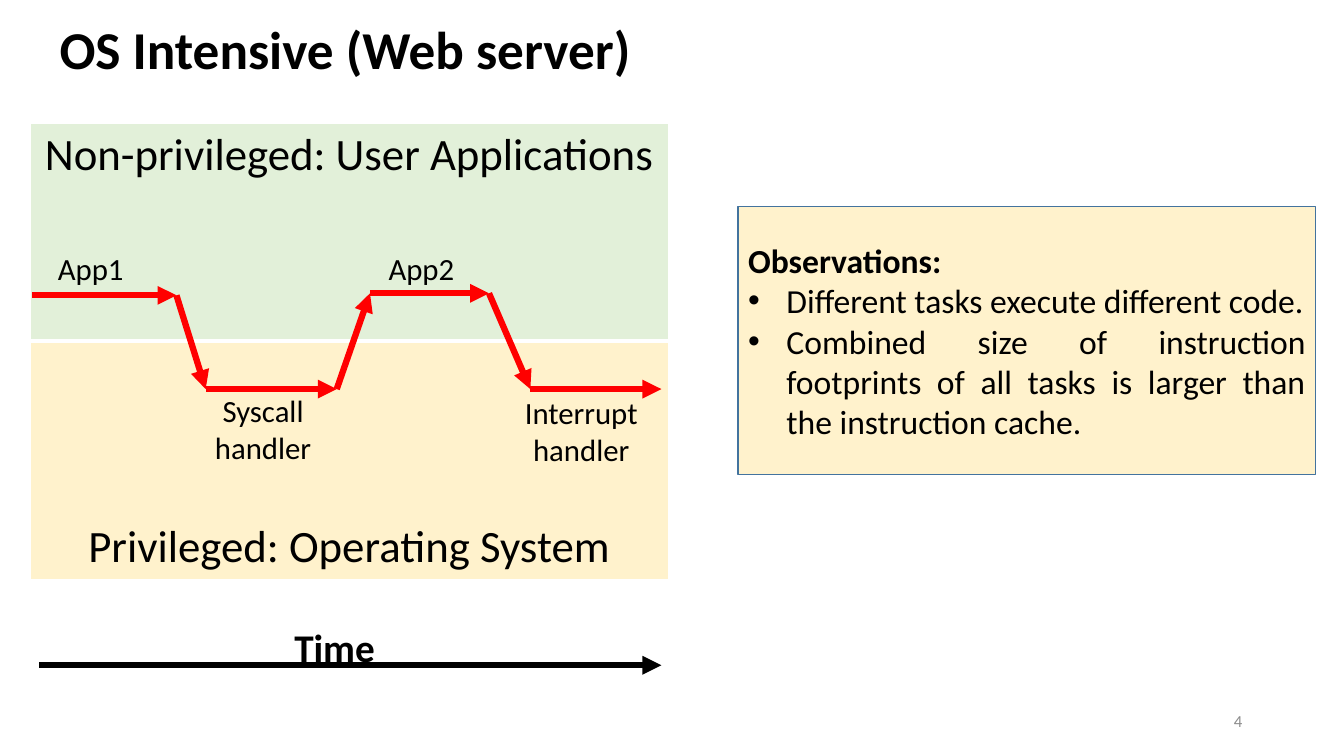
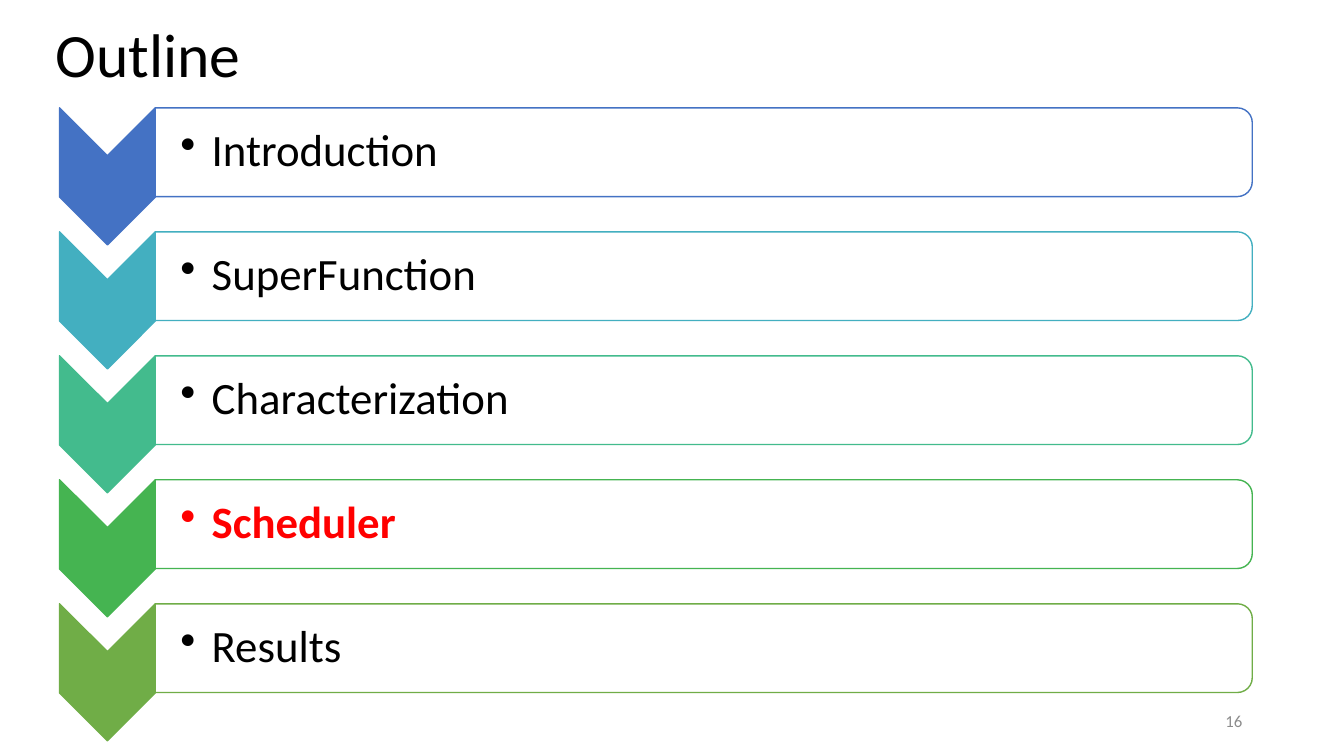
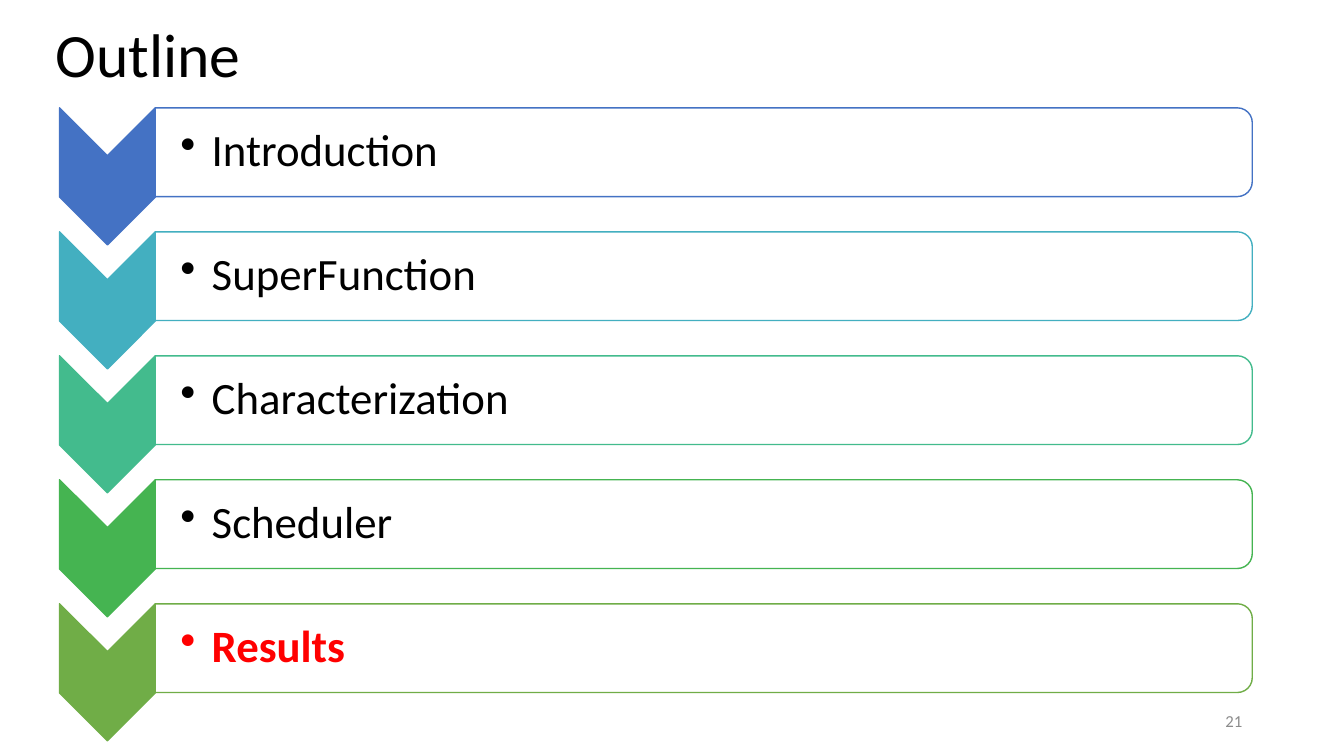
from itertools import pairwise
from lxml.etree import SubElement as Sub
from pptx import Presentation
from pptx.dml.color import RGBColor
from pptx.enum.shapes import MSO_CONNECTOR as Link, MSO_SHAPE as Kind
from pptx.enum.text import MSO_ANCHOR as Anchor, MSO_AUTO_SIZE as Fit, PP_ALIGN as Align
from pptx.oxml.ns import qn
from pptx.util import Inches, Pt

FONT = "Calibri"
BLACK, WHITE, RED, GRAY = "000000", "FFFFFF", "FF0000", "8C8C8C"
GREEN, CREAM, EDGE = "E2F0D9", "FFF2CC", "43739E"
STEPS = [
    ("Introduction", "4472C4"),
    ("SuperFunction", "43AFC0"),
    ("Characterization", "43BB8D"),
    ("Scheduler", "45B451"),
    ("Results", "70AD47"),
]


def color(code):
    return RGBColor.from_string(code)


def paint(shape, fill, line):
    shape.fill.solid()
    shape.fill.fore_color.rgb = color(fill)
    shape.line.color.rgb = color(line)
    shape.line.width = Pt(1)


def place(shape, x, y, w, h):
    shape.left, shape.top, shape.width, shape.height = map(Inches, (x, y, w, h))


def write(para, text, size, tint=BLACK, bold=False, align=Align.LEFT):
    para.alignment = align
    para.space_before = Pt(0)
    run = para.add_run()
    run.text = text
    font = run.font
    font.name, font.size, font.bold = FONT, Pt(size), bold
    font.color.rgb = color(tint)


def bullet(para, indent):
    props = para._p.get_or_add_pPr()
    props.set("marL", str(Inches(indent)))
    props.set("indent", str(-Inches(indent)))
    Sub(props, qn("a:buChar"), char="•")


def setup(frame, anchor=Anchor.MIDDLE, wrap=True):
    frame.auto_size = Fit.NONE
    frame.word_wrap = wrap
    frame.vertical_anchor = anchor
    return frame


def label(slide, x, y, w, h, lines, size, bold=False, align=Align.CENTER):
    box = slide.shapes.add_textbox(*map(Inches, (x, y, w, h)))
    frame = setup(box.text_frame, Anchor.TOP, False)
    for i, line in enumerate(lines):
        para = frame.add_paragraph() if i else frame.paragraphs[0]
        write(para, line, size, bold=bold, align=align)


def start(deck, layout, title, box, size, number, bold=False):
    slide = deck.slides.add_slide(deck.slide_layouts[layout])
    head = slide.shapes.title
    place(head, *box)
    para = setup(head.text_frame).paragraphs[0]
    para.line_spacing = 0.9
    write(para, title, size, bold=bold)
    foot = slide.shapes.add_textbox(*map(Inches, (9.42, 6.95, 3, 0.4)))
    write(setup(foot.text_frame).paragraphs[0], number, 12, GRAY, align=Align.RIGHT)
    return slide


def arrow(slide, begin, end, tint):
    link = slide.shapes.add_connector(Link.STRAIGHT, *map(Inches, begin + end))
    link.line.color.rgb = color(tint)
    link.line.width = Pt(4.5)
    Sub(link.line._get_or_add_ln(), qn("a:tailEnd"), type="triangle")
    Sub(link._element.spPr, qn("a:effectLst"))


def border(cell, sides):
    props = cell._tc.get_or_add_tcPr()
    for i, (side, width) in enumerate(sides.items()):
        line = props.makeelement(qn(f"a:ln{side}"), {"w": str(Pt(width))})
        Sub(Sub(line, qn("a:solidFill")), qn("a:srgbClr"), val=WHITE)
        props.insert(i, line)


def zones(slide, x, y, w, rows):
    total = sum(row[1] for row in rows)
    table = slide.shapes.add_table(len(rows), 1, *map(Inches, (x, y, w, total))).table
    table.first_row = table.horz_banding = False
    for i, (text, height, fill, anchor, top, low) in enumerate(rows):
        table.rows[i].height = Inches(height)
        cell = table.cell(i, 0)
        cell.fill.solid()
        cell.fill.fore_color.rgb = color(fill)
        cell.vertical_anchor = anchor
        border(cell, {"L": 1, "R": 1, "T": top, "B": low})
        write(cell.text_frame.paragraphs[0], text, 32, align=Align.CENTER)


def flow(slide, x, y):
    zones(slide, x, y, 6.33, [
        ("Non-privileged: User Applications", 2.16, GREEN, Anchor.TOP, 1, 3),
        ("Privileged: Operating System", 2.37, CREAM, Anchor.BOTTOM, 3, 1),
    ])
    for dx, dy, w, h, lines in [
        (0.17, 1.21, 0.86, 0.47, ["App1"]),
        (1.73, 2.62, 1.16, 0.84, ["Syscall", "handler"]),
        (4.8, 2.64, 1.33, 0.84, ["Interrupt", "handler"]),
        (3.45, 1.21, 0.86, 0.47, ["App2"]),
    ]:
        label(slide, x + dx, y + dy, w, h, lines, 22)
    arrow(slide, (x + 0.09, y + 5.38), (x + 6.26, y + 5.38), BLACK)
    label(slide, x + 2.52, y + 4.91, 1.01, 0.57, ["Time"], 28, True, Align.LEFT)
    trail = [(0.02, 1.71), (1.45, 1.71), (1.74, 2.64), (3.04, 2.64),
             (3.37, 1.69), (4.55, 1.69), (4.96, 2.64), (6.26, 2.64)]
    for begin, end in pairwise((x + dx, y + dy) for dx, dy in trail):
        arrow(slide, begin, end, RED)


def notes(body, x, y, w, h):
    place(body, x, y, w, h)
    paint(body, CREAM, EDGE)
    frame = setup(body.text_frame)
    para = frame.paragraphs[0]
    props = para._p.get_or_add_pPr()
    props.set("marL", "0")
    props.set("indent", "0")
    Sub(props, qn("a:buNone"))
    write(para, "Observations:", 24, bold=True)
    for text in [
        "Different tasks execute different code.",
        "Combined size of instruction footprints of all tasks is larger "
        "than the instruction cache.",
    ]:
        para = frame.add_paragraph()
        bullet(para, 0.38)
        write(para, text, 24, align=Align.JUSTIFY)


def turned(slide, kind, x, y, w, h, fill, line):
    left, top = x + (w - h) / 2, y + (h - w) / 2
    shape = slide.shapes.add_shape(kind, *map(Inches, (left, top, h, w)))
    shape.rotation = 90
    shape.shadow.inherit = False
    paint(shape, fill, line)


def step(slide, x, y, text, tint, active):
    turned(slide, Kind.CHEVRON, x, y, 0.95, 1.36, tint, tint)
    turned(slide, Kind.ROUND_2_SAME_RECTANGLE, x + 0.95, y, 10.88, 0.88, WHITE, tint)
    box = slide.shapes.add_textbox(*map(Inches, (x + 0.95, y + 0.04, 10.84, 0.8)))
    frame = setup(box.text_frame)
    frame.margin_left = Inches(0.25)
    frame.margin_right = frame.margin_top = frame.margin_bottom = Inches(0.02)
    para = frame.paragraphs[0]
    bullet(para, 0.31)
    para.line_spacing = 0.9
    write(para, text, 32, RED if active else BLACK, active)


def server(deck):
    slide = start(deck, 1, "OS Intensive (Web server)", (0.49, -0.13, 6.14, 1.3), 38, "4", True)
    flow(slide, 0.3, 1.22)
    notes(slide.placeholders[1], 7.32, 2.05, 5.73, 2.66)


def outline(deck, active, number):
    slide = start(deck, 5, "Outline", (0.45, -0.15, 11.5, 1.45), 44, number)
    for i, (text, tint) in enumerate(STEPS):
        step(slide, 0.59, 1.07 + 1.23 * i, text, tint, text == active)


def main():
    deck = Presentation()
    deck.slide_width, deck.slide_height = Inches(13.33), Inches(7.5)
    server(deck)
    outline(deck, "Scheduler", "16")
    outline(deck, "Results", "21")
    deck.save("out.pptx")


if __name__ == "__main__":
    main()
